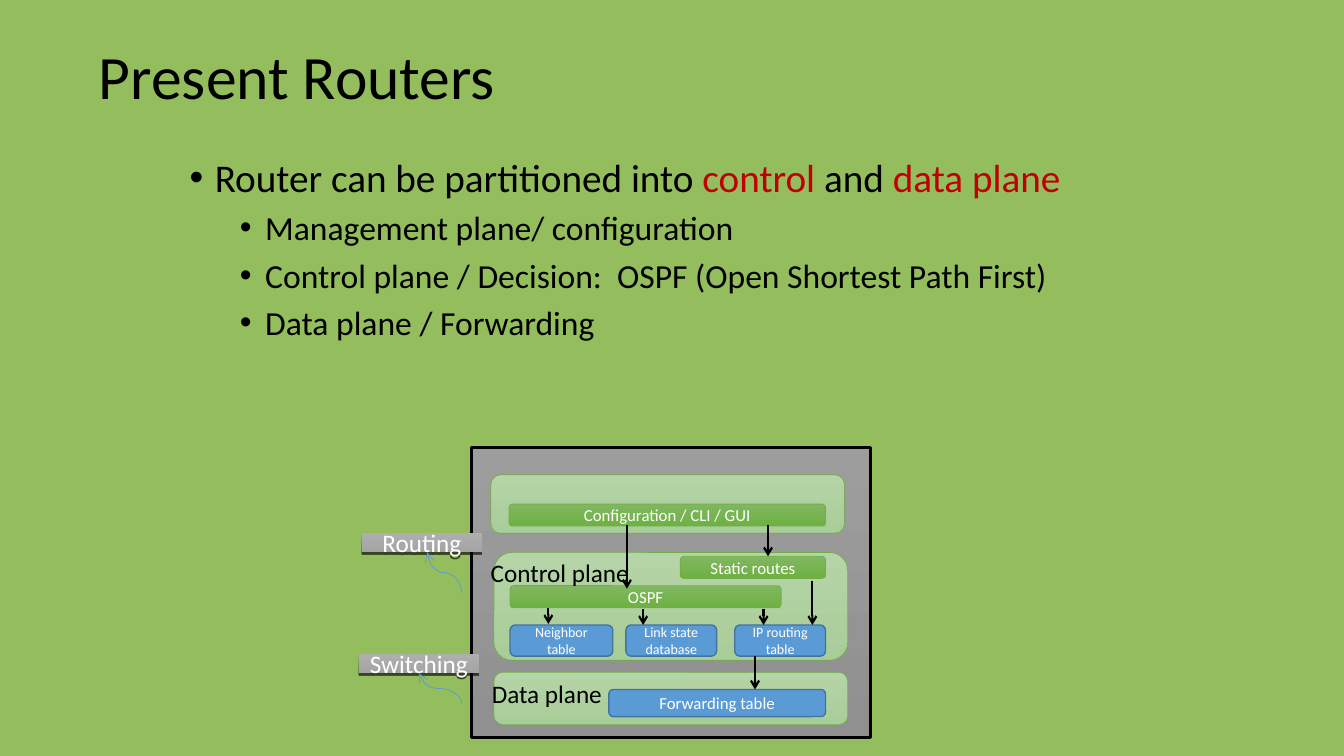
"""Build the slide on the planes of present routers."""
from dataclasses import dataclass
from typing import Optional

from lxml import etree
from pptx import Presentation
from pptx.dml.color import RGBColor
from pptx.enum.shapes import MSO_CONNECTOR, MSO_SHAPE
from pptx.enum.text import MSO_ANCHOR, MSO_AUTO_SIZE, PP_ALIGN
from pptx.oxml.ns import qn
from pptx.util import Pt

RECTANGLE = MSO_SHAPE.RECTANGLE
ROUNDED = MSO_SHAPE.ROUNDED_RECTANGLE
STRAIGHT = MSO_CONNECTOR.STRAIGHT
CURVE = MSO_CONNECTOR.CURVE
LEFT, CENTER = PP_ALIGN.LEFT, PP_ALIGN.CENTER
TOP, MIDDLE = MSO_ANCHOR.TOP, MSO_ANCHOR.MIDDLE
NO_FIT, GROW = MSO_AUTO_SIZE.NONE, MSO_AUTO_SIZE.SHAPE_TO_FIT_TEXT


@dataclass(frozen=True)
class Theme:
    font: str = "Calibri"
    background: str = "94BD5E"
    ink: str = "000000"
    paper: str = "FFFFFF"
    accent: str = "C00000"
    blue: str = "5B9BD5"
    title_size: float = 44
    list_sizes: tuple = (28, 24)
    label_size: float = 18
    box_size: float = 12
    table_size: float = 10


THEME = Theme()


@dataclass(frozen=True)
class Style:
    fills: tuple
    line: Optional[str] = None
    weight: float = 0
    preset: int = ROUNDED
    shadow: bool = False


FRAME = Style(("9D9D9D", "909090"), THEME.ink, 2.25, RECTANGLE)
PANEL = Style(("B5D4A7", "A9CD99"), "70AD47", 0.5)
PROCESS = Style(("80B761", "6FB142"), "70AD47", 0.5)
TABLE = Style((THEME.blue,), "43729D", 1)
TAG = Style(("AEAEAE", "A4A4A4"), preset=RECTANGLE, shadow=True)


@dataclass(frozen=True)
class Box:
    style: Style
    left: float
    top: float
    width: float
    height: float
    text: str = ""
    size: float = THEME.box_size


@dataclass(frozen=True)
class Label:
    text: str
    left: float
    top: float
    width: float
    height: float = 28.8


@dataclass(frozen=True)
class Arrow:
    x: float
    top: float
    bottom: float


@dataclass(frozen=True)
class Curve:
    start: tuple
    end: tuple


BOXES = (
    Box(FRAME, 337, 319.7, 285.1, 207.4),
    Box(PANEL, 350.6, 339.1, 252.7, 41.8),
    Box(PANEL, 352.8, 394.6, 252.7, 77),
    Box(PANEL, 352.8, 480.2, 252.7, 37.4),
    Box(PROCESS, 363.6, 360, 226.1, 15.8, "Configuration / CLI / GUI"),
    Box(PROCESS, 486, 397.4, 103.7, 15.8, "Static routes"),
    Box(PROCESS, 364.3, 418.3, 193.7, 15.8, "OSPF"),
    Box(TABLE, 364.3, 446.4, 73.4, 22.3, "Neighbor table", THEME.table_size),
    Box(TABLE, 447.1, 446.4, 64.8, 22.3, "Link state database", THEME.table_size),
    Box(TABLE, 524.9, 446.4, 64.8, 22.3, "IP routing table", THEME.table_size),
    Box(TABLE, 434.9, 492.5, 154.8, 19.4, "Forwarding table"),
    Box(TAG, 258.5, 380.9, 85.7, 13.7, "Routing", THEME.label_size),
    Box(TAG, 256.3, 467.3, 85.7, 13.7, "Switching", THEME.label_size),
)
LABELS = (Label("Control plane", 343.4, 394.6, 113), Label("Data plane", 344.2, 481, 92.9))
ARROWS = (
    Arrow(548.6, 375.1, 397.4),
    Arrow(447.8, 375.1, 420.5),
    Arrow(391.7, 434.2, 445.7),
    Arrow(459.4, 434.9, 446.4),
    Arrow(545.4, 434.9, 446.4),
    Arrow(539.3, 468.7, 492.5),
    Arrow(580.3, 414.7, 446.4),
)
CURVES = (Curve((329.8, 423.4), (305.3, 394.6)), Curve((329.8, 502.6), (299.5, 481)))
BULLETS = (
    (0, (("Router can be partitioned into ", THEME.ink), ("control", THEME.accent),
         (" and ", THEME.ink), ("data plane", THEME.accent))),
    (1, (("Management plane/ configuration", THEME.ink),)),
    (1, (("Control plane / Decision:  OSPF (Open Shortest Path First)", THEME.ink),)),
    (1, (("Data plane / Forwarding", THEME.ink),)),
)


def write(para, text: str, *, size: float, color: str = THEME.ink, align=LEFT) -> None:
    para.alignment = align
    span = para.add_run()
    span.text = text
    span.font.name = THEME.font
    span.font.size = Pt(size)
    span.font.color.rgb = RGBColor.from_string(color)


def place(shape, left: float, top: float, width: float, height: float) -> None:
    shape.left, shape.top, shape.width, shape.height = map(Pt, (left, top, width, height))


def add_bullet(para, level: int, spans: tuple) -> None:
    para.level = level
    para.space_before = Pt((10, 5)[level])
    for text, color in spans:
        write(para, text, size=THEME.list_sizes[level], color=color)
    properties = para._p.get_or_add_pPr()
    properties.set("marL", str(Pt((18, 54)[level])))
    properties.set("indent", str(Pt(-18)))
    bullet_color = etree.SubElement(properties, qn("a:buClr"))
    etree.SubElement(bullet_color, qn("a:srgbClr"), val=THEME.ink)
    etree.SubElement(properties, qn("a:buFont"), typeface="Arial")
    etree.SubElement(properties, qn("a:buChar"), char="•")


def fill_placeholders(page) -> None:
    title, body = page.placeholders
    place(title, 63.4, 18.7, 828, 69.8)
    place(body, 128.2, 105.8, 676.1, 356.4)
    for holder, anchor in ((title, MIDDLE), (body, TOP)):
        holder.text_frame.vertical_anchor = anchor
        holder.text_frame.auto_size = NO_FIT
    write(title.text_frame.paragraphs[0], "Present Routers", size=THEME.title_size)
    frame = body.text_frame
    for index, (level, spans) in enumerate(BULLETS):
        para = frame.add_paragraph() if index else frame.paragraphs[0]
        add_bullet(para, level, spans)


def draw_box(page, box: Box) -> None:
    style = box.style
    shape = page.shapes.add_shape(
        style.preset, *map(Pt, (box.left, box.top, box.width, box.height)))
    shape.shadow.inherit = False
    if len(style.fills) == 1:
        shape.fill.solid()
        shape.fill.fore_color.rgb = RGBColor.from_string(style.fills[0])
    else:
        shape.fill.gradient()
        shape.fill.gradient_angle = 270
        for stop, color in zip(shape.fill.gradient_stops, style.fills):
            stop.color.rgb = RGBColor.from_string(color)
    if style.line:
        shape.line.color.rgb = RGBColor.from_string(style.line)
        shape.line.width = Pt(style.weight)
    else:
        shape.line.fill.background()
    if style.shadow:
        effects = shape.element.spPr.find(qn("a:effectLst"))
        outer = etree.SubElement(effects, qn("a:outerShdw"), blurRad="0",
                                 dist=str(Pt(1.5)), dir="5400000", rotWithShape="0")
        color = etree.SubElement(outer, qn("a:srgbClr"), val=THEME.ink)
        etree.SubElement(color, qn("a:alpha"), val="63000")
    if box.text:
        frame = shape.text_frame
        frame.word_wrap = True
        frame.vertical_anchor = MIDDLE
        write(frame.paragraphs[0], box.text, size=box.size, color=THEME.paper, align=CENTER)


def draw_label(page, label: Label) -> None:
    frame = page.shapes.add_textbox(
        *map(Pt, (label.left, label.top, label.width, label.height))).text_frame
    frame.word_wrap = False
    frame.auto_size = GROW
    write(frame.paragraphs[0], label.text, size=THEME.label_size)


def draw_connector(page, kind, points: tuple, *, color: str, weight: float):
    connector = page.shapes.add_connector(kind, *map(Pt, points))
    connector.line.color.rgb = RGBColor.from_string(color)
    connector.line.width = Pt(weight)
    properties = connector.element.spPr
    etree.SubElement(properties.find(qn("a:ln")), qn("a:tailEnd"), type="arrow")
    etree.SubElement(properties, qn("a:effectLst"))
    return connector


def draw_curve(page, curve: Curve) -> None:
    (x1, y1), (x2, y2) = curve.start, curve.end
    middle_x, middle_y = (x1 + x2) / 2, (y1 + y2) / 2
    across, down = (y1 - y2) / 2, (x1 - x2) / 2
    points = (middle_x + across, middle_y - down, middle_x - across, middle_y + down)
    connector = draw_connector(page, CURVE, points, color=THEME.blue, weight=0.5)
    connector.element.spPr.find(qn("a:xfrm")).set("rot", "5400000")


def main() -> None:
    deck = Presentation()
    deck.slide_width, deck.slide_height = Pt(960), Pt(540)
    page = deck.slides.add_slide(deck.slide_layouts[1])
    page.background.fill.solid()
    page.background.fill.fore_color.rgb = RGBColor.from_string(THEME.background)
    fill_placeholders(page)
    for box in BOXES:
        draw_box(page, box)
    for label in LABELS:
        draw_label(page, label)
    for arrow in ARROWS:
        points = (arrow.x, arrow.top, arrow.x, arrow.bottom)
        draw_connector(page, STRAIGHT, points, color=THEME.ink, weight=1.5)
    for curve in CURVES:
        draw_curve(page, curve)
    deck.save("out.pptx")


if __name__ == "__main__":
    main()
